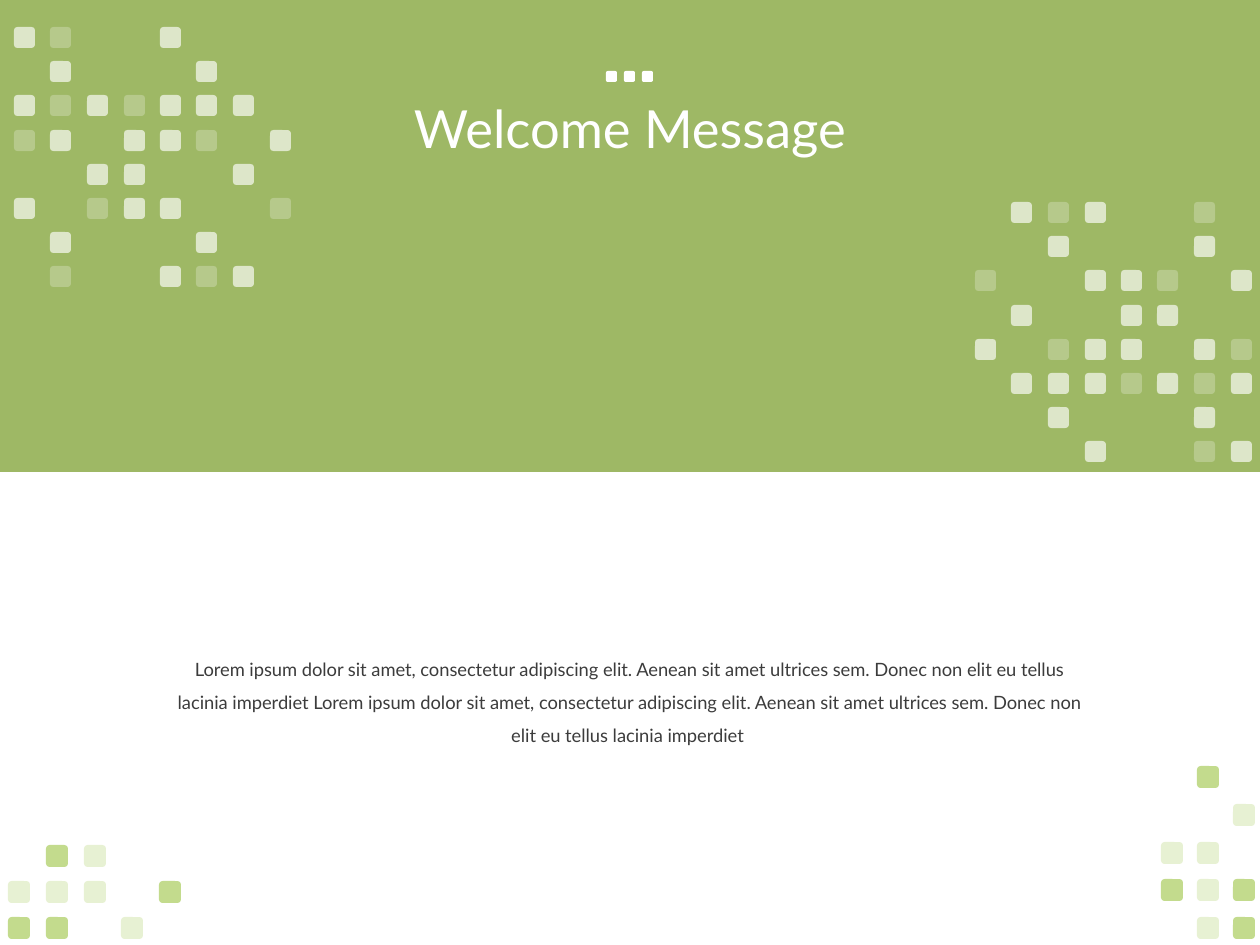
from pptx import Presentation
from pptx import util as u
from pptx.dml.color import RGBColor
from pptx.enum import shapes, text
from pptx.oxml import ns
from lxml import etree

PX = 914400 / 126  # EMU in one pixel
FONT = "Lato"
WHITE = RGBColor(0xFF, 0xFF, 0xFF)
BAND_GREEN = RGBColor(0x7E, 0xA1, 0x32)
TILE_GREEN = RGBColor(0xA3, 0xC9, 0x51)
BODY_GREY = RGBColor(0x3C, 0x3C, 0x3C)

# Opacity in percent of each mark in the patterns; "-" is a gap
OPACITY = {"H": 65, "o": 25}

TOP_LEFT = ["Ho--H---", "-H---H--", "HoHoHHH-", "oH-HHo-H",
            "--HH--H-", "H-oHH--o", "-H---H--", "-o--HoH-"]
TOP_RIGHT = ["-HoH--o-", "--H---H-", "o--HHo-H", "-H--HH--",
             "H-oHH-Ho", "-HHHoHoH", "--H---H-", "---H--oH"]
BOTTOM_LEFT = ["-Ho--", "ooo-H", "HH-o-"]
BOTTOM_RIGHT = ["-H-", "--o", "oo-", "HoH", "-oH"]

WELCOME = ("Lorem ipsum dolor sit amet, consectetur adipiscing elit. "
           "Aenean sit amet ultrices sem. Donec non elit eu tellus "
           "lacinia imperdiet ")


def px(*lengths):
    return [u.Emu(round(length * PX)) for length in lengths]


def add_block(parent, kind, box, color, opacity=100):
    block = parent.add_shape(kind, *px(*box))
    block.shadow.inherit = False
    block.fill.solid()
    block.fill.fore_color.rgb = color
    block.line.fill.background()
    if opacity < 100:
        srgb = block._element.spPr.find(".//" + ns.qn("a:srgbClr"))
        etree.SubElement(srgb, ns.qn("a:alpha"), val=str(opacity * 1000))


def add_tiles(slide, pattern, left, top, pitch_x, pitch_y, size, color):
    """Draw one group of rounded tiles from a pattern of marks."""
    tiles = slide.shapes.add_group_shape().shapes
    for row, marks in enumerate(pattern):
        for column, mark in enumerate(marks):
            if mark in OPACITY:
                box = (left + round(column * pitch_x),
                       top + round(row * pitch_y), size, size)
                add_block(tiles, shapes.MSO_SHAPE.ROUNDED_RECTANGLE, box,
                          color, OPACITY[mark])


def add_dots(slide):
    dots = slide.shapes.add_group_shape().shapes
    for column in range(3):
        add_block(dots, shapes.MSO_SHAPE.ROUNDED_RECTANGLE,
                  (606 + 18 * column, 71, 11, 11), WHITE)


def write(frame, words, size, color, spacing):
    frame.word_wrap = True
    line = frame.paragraphs[0]
    line.alignment = text.PP_ALIGN.CENTER
    line.line_spacing = spacing
    run = line.add_run()
    run.text = words
    run.font.name = FONT
    run.font.size = u.Pt(size)
    run.font.color.rgb = color


def set_title(slide, words, box):
    title = slide.shapes.title
    title.left, title.top, title.width, title.height = px(*box)
    title.text_frame.auto_size = text.MSO_AUTO_SIZE.NONE
    title.text_frame.vertical_anchor = text.MSO_ANCHOR.MIDDLE
    write(title.text_frame, words, 30, WHITE, 0.9)
    slide.shapes._spTree.append(title._element)  # in front of the band


def add_message(slide, words, box):
    message = slide.shapes.add_textbox(*px(*box))
    write(message.text_frame, words, 10.5, BODY_GREY, 1.5)
    message.text_frame.auto_size = text.MSO_AUTO_SIZE.SHAPE_TO_FIT_TEXT


def main():
    deck = Presentation()
    deck.slide_width, deck.slide_height = px(1260, 945)
    slide = deck.slides.add_slide(deck.slide_layouts[5])

    # Green band with heading, and the message below
    add_block(slide.shapes, shapes.MSO_SHAPE.RECTANGLE, (0, 0, 1260, 472),
              BAND_GREEN, 75)
    set_title(slide, "Welcome Message", (87, 40, 1086, 183))
    add_message(slide, WELCOME + WELCOME, (164, 641, 932, 108))
    add_dots(slide)

    # White tiles on the band
    add_tiles(slide, TOP_LEFT, 14, 27, 36.5, 34.2, 21, WHITE)
    add_tiles(slide, TOP_RIGHT, 975, 202, 36.5, 34.2, 21, WHITE)

    # Green tiles in the lower corners
    add_tiles(slide, BOTTOM_LEFT, 8, 845, 37.8, 36, 22, TILE_GREEN)
    add_tiles(slide, BOTTOM_RIGHT, 1161, 766, 36, 37.8, 22, TILE_GREEN)

    deck.save("out.pptx")


main()
